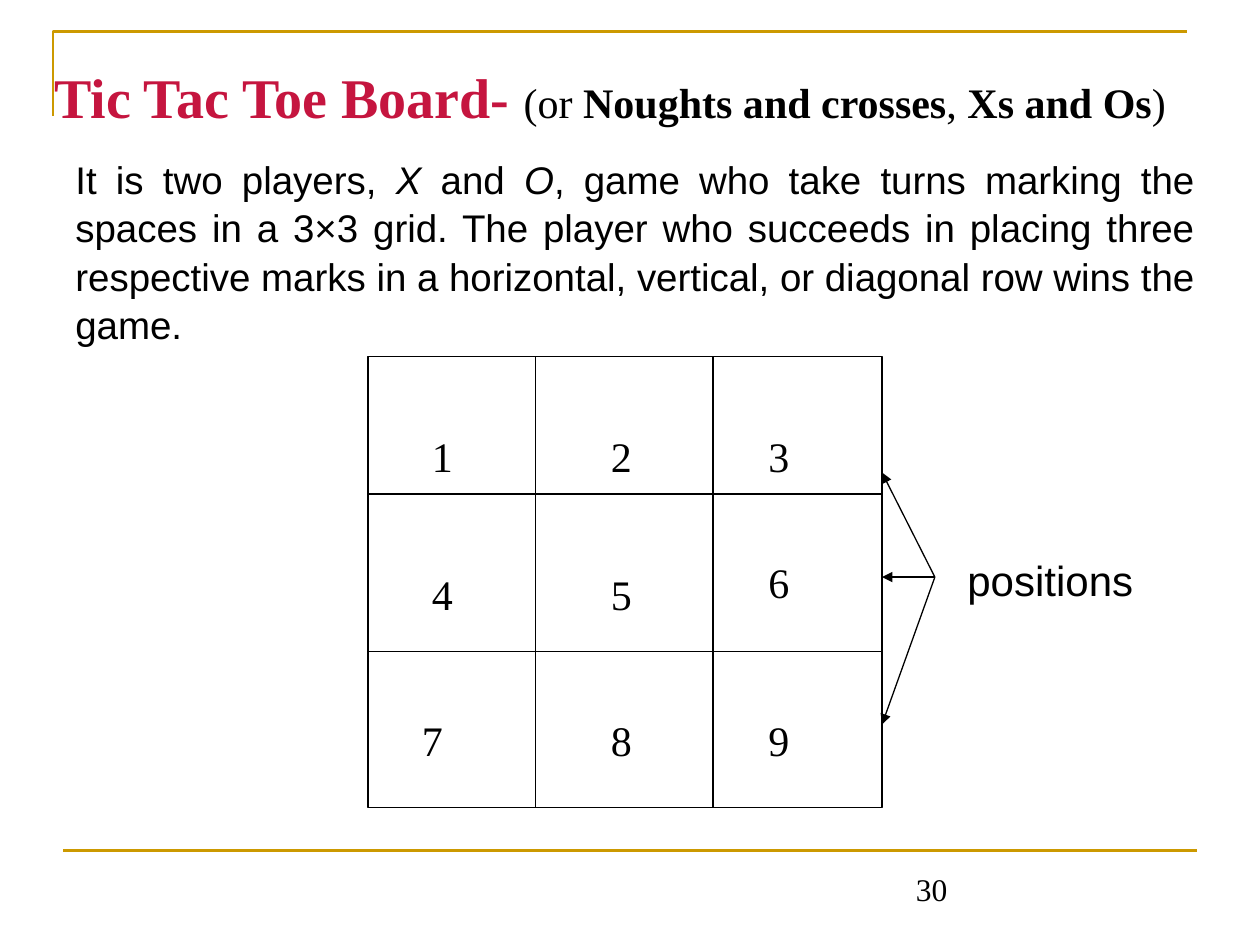
from dataclasses import dataclass

from lxml import etree
from pptx import Presentation
from pptx.dml.color import RGBColor
from pptx.enum.shapes import MSO_CONNECTOR, MSO_SHAPE
from pptx.enum.text import MSO_ANCHOR, PP_ALIGN
from pptx.oxml.ns import qn
from pptx.util import Inches, Pt

STRAIGHT = MSO_CONNECTOR.STRAIGHT
RECTANGLE = MSO_SHAPE.RECTANGLE
TOP = MSO_ANCHOR.TOP
LEFT, JUSTIFY = PP_ALIGN.LEFT, PP_ALIGN.JUSTIFY
TITLE_ONLY = 5


@dataclass(frozen=True)
class Theme:
    ink: RGBColor = RGBColor(0x00, 0x00, 0x00)
    heading: RGBColor = RGBColor(0xC5, 0x15, 0x3F)
    gold: RGBColor = RGBColor(0xCC, 0x99, 0x00)
    serif: str = "Times New Roman"
    sans: str = "Arial"
    title_size: int = 32
    label_size: int = 24
    body_size: int = 22
    number_size: int = 18
    rule_width: float = 1.5
    grid_width: float = 0.75
    serif_spacing: float = 1.1
    sans_spacing: float = 1.05


THEME = Theme()


def add_span(para, text, size, font, color=THEME.ink, bold=False, italic=False):
    span = para.add_run()
    span.text = text
    span.font.size = Pt(size)
    span.font.name = font
    span.font.color.rgb = color
    span.font.bold = bold
    span.font.italic = italic


def add_text_box(page, box, spacing):
    """Add an empty wrapping text box and return its first paragraph."""
    frame = page.shapes.add_textbox(*map(Inches, box)).text_frame
    frame.word_wrap = True
    para = frame.paragraphs[0]
    para.line_spacing = spacing
    return para


def add_line(page, start, end, color=THEME.ink, width=THEME.grid_width, arrow=False):
    line = page.shapes.add_connector(STRAIGHT, *map(Inches, (*start, *end)))
    line.line.color.rgb = color
    line.line.width = Pt(width)
    properties = line._element.spPr
    if arrow:
        etree.SubElement(properties.find(qn("a:ln")), qn("a:tailEnd"), type="triangle")
    etree.SubElement(properties, qn("a:effectLst"))


def add_frame(page, box):
    """Draw the gold corner at the top left and the rule above the footer."""
    left, top, width, height = box
    builder = page.shapes.build_freeform(Inches(left), Inches(top + height))
    corner_points = [(left, top), (left + width, top)]
    builder.add_line_segments(
        [(Inches(x), Inches(y)) for x, y in corner_points], close=False
    )
    corner = builder.convert_to_shape()
    corner.shadow.inherit = False
    corner.fill.background()
    corner.line.color.rgb = THEME.gold
    corner.line.width = Pt(THEME.rule_width)
    add_line(page, (0.5, 6.75), (9.5, 6.75), THEME.gold, THEME.rule_width)


def add_title(page, box):
    title = page.shapes.title
    title.left, title.top, title.width, title.height = map(Inches, box)
    frame = title.text_frame
    frame.word_wrap = True
    frame.vertical_anchor = TOP
    frame.margin_top = Inches(0.14)
    para = frame.paragraphs[0]
    para.alignment = LEFT
    para.line_spacing = THEME.serif_spacing
    add_span(para, "Tic Tac Toe Board- ", THEME.title_size, THEME.serif,
             THEME.heading, bold=True)
    for text, bold in [("(or ", False), ("Noughts and crosses", True), (", ", False),
                       ("Xs and Os", True), (")", False)]:
        add_span(para, text, THEME.label_size, THEME.serif, bold=bold)


def add_description(page, box):
    para = add_text_box(page, box, THEME.sans_spacing)
    para.alignment = JUSTIFY
    for text, italic in [
        ("It is two players, ", False), ("X", True), (" and ", False), ("O", True),
        (", game who take turns marking the spaces in a 3×3 grid. The player who "
         "succeeds in placing three respective marks in a horizontal, vertical, or "
         "diagonal row wins the game.", False),
    ]:
        add_span(para, text, THEME.body_size, THEME.sans, italic=italic)


def add_board(page, box):
    left, top, width, height = box
    right, bottom = left + width, top + height
    outline = page.shapes.add_shape(RECTANGLE, *map(Inches, box))
    outline.shadow.inherit = False
    outline.fill.background()
    outline.line.color.rgb = THEME.ink
    outline.line.width = Pt(THEME.grid_width)
    for x in (left + 1.33, left + 2.74):
        add_line(page, (x, top), (x, bottom))
    for y in (top + 1.09, top + 2.34):
        add_line(page, (left, y), (right, y))

    column_offsets = (0.41, 1.83, 3.08)
    row_offsets = (0.5, 1.59, 2.75)
    nudges = {6: (0, -0.09), 7: (-0.08, 0)}
    for index in range(9):
        row, column = divmod(index, 3)
        number = index + 1
        shift_x, shift_y = nudges.get(number, (0, 0))
        cell = (left + column_offsets[column] + shift_x,
                top + row_offsets[row] + shift_y, 0.5, 0.5)
        para = add_text_box(page, cell, THEME.serif_spacing)
        add_span(para, str(number), THEME.label_size, THEME.serif)


def add_positions_callout(page, box):
    """Point three arrows at the board's right edge from the label."""
    left, top, width, height = box
    origin = (left + 0.42, top + 0.83)
    for drop in (0, 0.83, 2):
        add_line(page, origin, (left, top + drop), arrow=True)
    label_box = (left + 0.58, top + 0.58, width - 0.58, 0.5)
    para = add_text_box(page, label_box, THEME.sans_spacing)
    add_span(para, "positions", THEME.label_size, THEME.sans)


def add_page_number(page, box):
    para = add_text_box(page, box, THEME.serif_spacing)
    add_span(para, "30", THEME.number_size, THEME.serif)


def main():
    deck = Presentation()
    deck.slide_width, deck.slide_height = Inches(10), Inches(7.5)
    page = deck.slides.add_slide(deck.slide_layouts[TITLE_ONLY])
    add_frame(page, (0.42, 0.25, 9, 0.67))
    add_page_number(page, (7.17, 6.83, 2.33, 0.5))
    add_title(page, (0.33, 0.3, 9.42, 0.61))
    add_board(page, (2.92, 2.83, 4.08, 3.58))
    add_positions_callout(page, (7, 3.75, 2.41, 2))
    add_description(page, (0.5, 1.17, 9.08, 1.6))
    deck.save("out.pptx")


if __name__ == "__main__":
    main()
